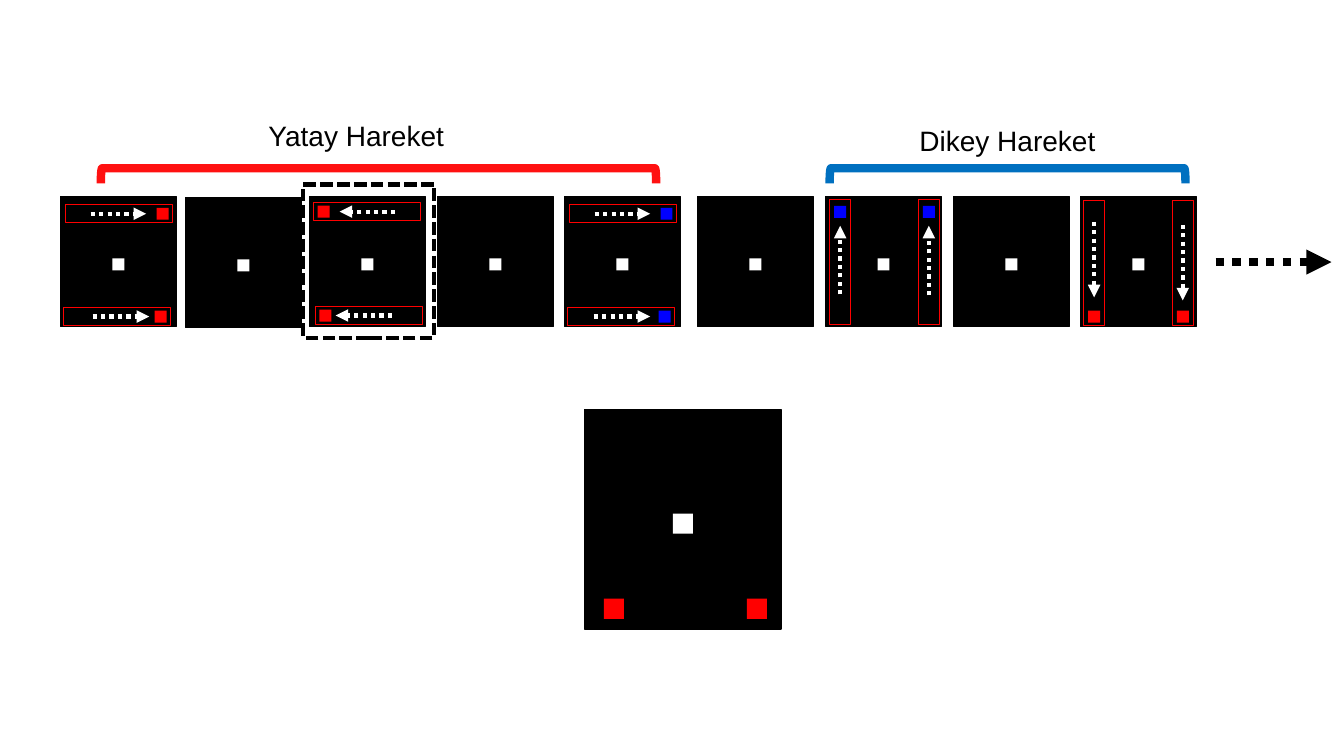
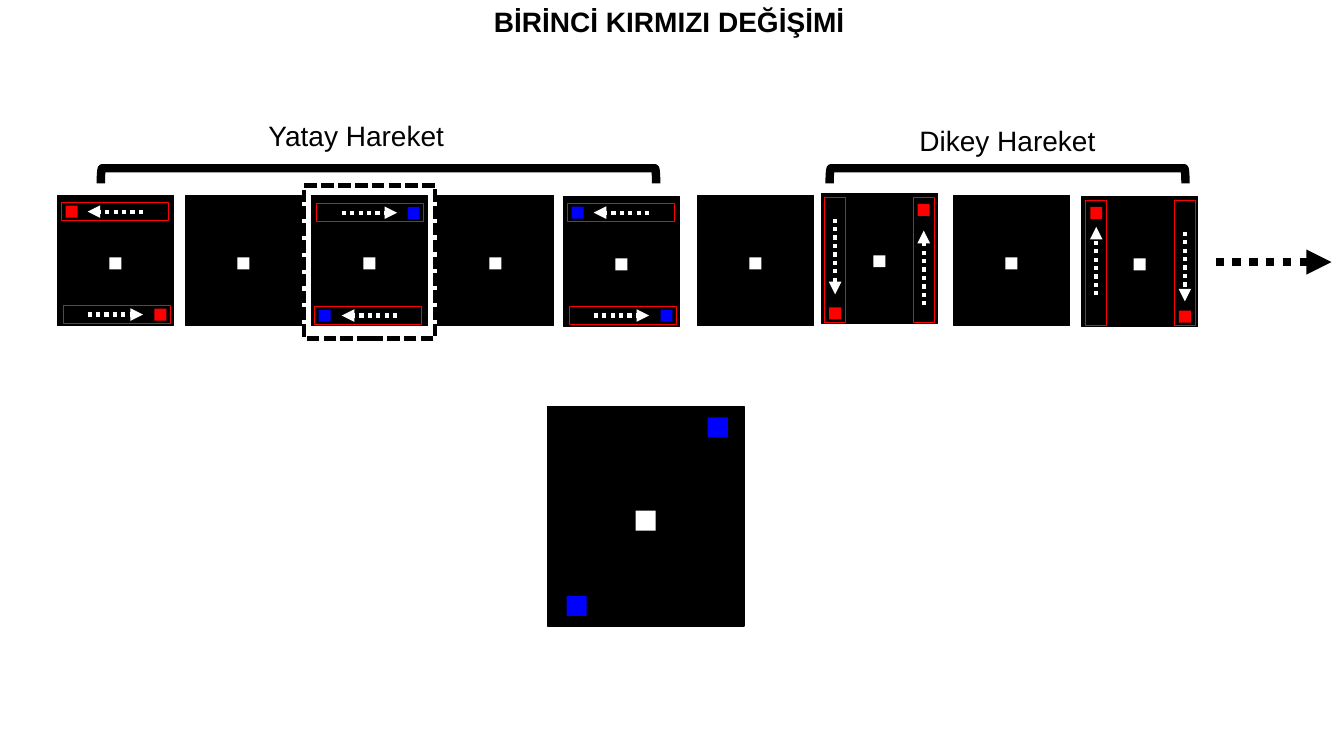
"""Builds two slides that show apparent-motion sequences of red and blue squares."""
from pptx import Presentation
from pptx.dml.color import RGBColor
from pptx.enum.dml import MSO_LINE
from pptx.enum.shapes import MSO_CONNECTOR, MSO_SHAPE
from pptx.enum.text import MSO_ANCHOR, PP_ALIGN
from pptx.oxml.ns import qn
from pptx.util import Pt
from lxml.etree import SubElement

COLORS = {"black": "000000", "white": "FFFFFF", "red": "FF0000", "blue": "0000FF",
          "bracket_red": "FF1111", "bracket_blue": "0070C0"}
FONT, TEXT_SIZE = "Arial", 20
PANEL = (82.8, 92.9)
LARGE_PANEL = (140.4, 157)
SQUARE, LARGE_SQUARE = 8.6, 14.4
DOT_HEIGHT = 0.475
LANES = {"across": (76.3, 13), "upright": (15.1, 89.3)}
SQUARE_STOPS = {"across": (2.9, 65), "upright": (4.5, 78.5)}
FOCUS_SIZE = (93.6, 109.4)
TITLE_FRAME = (313.9, 0, 328.3, 31)
LABELS = [("Yatay Hareket", 166.3, 84.2), ("Dikey Hareket", 631.4, 87.8)]
LABEL_SIZE = (176.4, 25.2)
BRACKETS = [(72, 396.7), (592.6, 254.2)]
BRACKET_TOP, BRACKET_DEPTH = 120.2, 10.8
TIME_ARROW = (868.3, 187.2, 951.1, 187.2)

# Panel: left, top, lanes. Lane: axis, left, top, square colour, arrow start, arrow end.
SLIDES = [
    {
        "title": None,
        "brackets": ("bracket_red", "bracket_blue"),
        "panels": [
            (43.2, 140.4, [("across", 3.6, 5.8, "red", 21.6, 61.2),
                           ("across", 2.2, 79.2, "red", 23, 63.4)]),
            (132.5, 141.1, []),
            (221, 140.4, [("across", 2.9, 4.3, "red", 61.2, 21.6),
                          ("across", 4.3, 78.5, "red", 59, 18.7)]),
            (312.5, 140.4, []),
            (403.2, 140.4, [("across", 3.6, 5.8, "blue", 21.6, 61.2),
                            ("across", 2.2, 79.2, "blue", 20.9, 61.2)]),
            (498.2, 140.4, []),
            (589.7, 140.4, [("upright", 2.9, 2.2, "blue", 69.8, 20.9),
                            ("upright", 66.2, 2.2, "blue", 70.6, 20.9)]),
            (681.1, 140.4, []),
            (771.8, 140.4, [("upright", 2.2, 2.9, "red", 18, 72),
                            ("upright", 65.5, 2.9, "red", 20.2, 74.2)]),
        ],
        "focus": (216.7, 131.8),
        "large": (417.6, 292.3, [(13.7, 135.4, "red"), (115.9, 135.4, "red")]),
    },
    {
        "title": "BİRİNCİ KIRMIZI DEĞİŞİMİ",
        "brackets": ("black", "black"),
        "panels": [
            (41, 139.7, [("across", 2.9, 5, "red", 61.2, 21.6),
                         ("across", 4.3, 78.5, "red", 21.6, 61.2)]),
            (132.5, 139.7, []),
            (222.5, 139.7, [("across", 3.6, 5.8, "blue", 21.6, 61.2),
                            ("across", 2.2, 79.2, "blue", 61.2, 21.6)]),
            (312.5, 139.7, []),
            (402.5, 140.4, [("across", 2.9, 5, "blue", 61.2, 21.6),
                            ("across", 4.3, 78.5, "blue", 21.6, 61.2)]),
            (498.2, 139.7, []),
            (586.8, 138.2, [("upright", 2.2, 2.9, "red", 18, 72),
                            ("upright", 65.5, 2.9, "red", 79.9, 26.6)]),
            (681.1, 139.7, []),
            (772.6, 140.4, [("upright", 2.9, 2.9, "red", 70.6, 21.6),
                            ("upright", 66.2, 2.9, "red", 25.2, 74.9)]),
        ],
        "focus": (217.4, 132.5),
        "large": (391, 290.2, [(114.5, 7.9, "blue"), (13.7, 135.4, "blue")]),
    },
]


def color(name):
    return RGBColor.from_string(COLORS[name])


def add_box(shapes, left, top, width, height, fill=None, line=None, weight=1,
            kind=MSO_SHAPE.RECTANGLE):
    box = shapes.add_shape(kind, Pt(left), Pt(top), Pt(width), Pt(height))
    box.shadow.inherit = False
    if fill:
        box.fill.solid()
        box.fill.fore_color.rgb = color(fill)
    else:
        box.fill.background()
    if line:
        box.line.color.rgb = color(line)
        box.line.width = Pt(weight)
    else:
        box.line.fill.background()
    return box


def add_arrow(shapes, points, line, weight):
    arrow = shapes.add_connector(MSO_CONNECTOR.STRAIGHT, *[Pt(value) for value in points])
    arrow.line.color.rgb = color(line)
    arrow.line.width = Pt(weight)
    arrow.line.dash_style = MSO_LINE.ROUND_DOT
    SubElement(arrow.line._get_or_add_ln(), qn("a:tailEnd"), type="triangle")
    SubElement(arrow._element.spPr, qn("a:effectLst"))


def write(box, text, bold=False):
    frame = box.text_frame
    frame.word_wrap = True
    frame.vertical_anchor = MSO_ANCHOR.MIDDLE
    frame.margin_left = frame.margin_right = frame.margin_top = frame.margin_bottom = 0
    para = frame.paragraphs[0]
    para.alignment = PP_ALIGN.CENTER
    span = para.add_run()
    span.text = text
    span.font.name, span.font.size, span.font.bold = FONT, Pt(TEXT_SIZE), bold
    span.font.color.rgb = color("black")


def add_field(shapes, left, top, size, dot):
    width, height = size
    add_box(shapes, left, top, width, height, "black", "black")
    add_box(shapes, left + (width - dot) / 2, top + height * DOT_HEIGHT, dot, dot, "white")


def add_lane(shapes, left, top, axis, fill, start, end):
    """Draws a lane whose square waits at the end the arrow points to."""
    width, height = LANES[axis]
    stop = SQUARE_STOPS[axis][end > start]
    if axis == "across":
        square = (left + stop, top + (height - SQUARE) / 2)
        points = (start, top + height / 2, end, top + height / 2)
    else:
        square = (left + (width - SQUARE) / 2, top + stop)
        points = (left + width / 2, start, left + width / 2, end)
    add_box(shapes, *square, SQUARE, SQUARE, fill)
    add_box(shapes, left, top, width, height, None, "red", 0.75)
    add_arrow(shapes, points, "white", 3)


def add_panel(page, left, top, lanes):
    shapes = page.shapes.add_group_shape().shapes
    add_field(shapes, left, top, PANEL, SQUARE)
    for axis, lane_left, lane_top, fill, start, end in lanes:
        origin = left if axis == "across" else top
        add_lane(shapes, left + lane_left, top + lane_top, axis, fill,
                 origin + start, origin + end)


def add_large_panel(page, left, top, squares):
    shapes = page.shapes.add_group_shape().shapes
    add_field(shapes, left, top, LARGE_PANEL, LARGE_SQUARE)
    for square_left, square_top, fill in squares:
        add_box(shapes, left + square_left, top + square_top, LARGE_SQUARE, LARGE_SQUARE, fill)


def add_bracket(page, left, length, line):
    bracket = add_box(page.shapes, left + (length - BRACKET_DEPTH) / 2,
                      BRACKET_TOP + (BRACKET_DEPTH - length) / 2, BRACKET_DEPTH, length,
                      None, line, 6, MSO_SHAPE.RIGHT_BRACKET)
    bracket.rotation = 270


def add_title(page, text):
    title = page.shapes.title
    title.left, title.top, title.width, title.height = [Pt(value) for value in TITLE_FRAME]
    write(title, text, True)


def build_slide(deck, content):
    page = deck.slides.add_slide(deck.slide_layouts[5 if content["title"] else 6])
    if content["title"]:
        add_title(page, content["title"])
    for panel in content["panels"]:
        add_panel(page, *panel)
    for (left, length), line in zip(BRACKETS, content["brackets"]):
        add_bracket(page, left, length, line)
    for text, left, top in LABELS:
        write(page.shapes.add_textbox(Pt(left), Pt(top), *map(Pt, LABEL_SIZE)), text)
    focus = add_box(page.shapes, *content["focus"], *FOCUS_SIZE, None, "black", 3)
    focus.line.dash_style = MSO_LINE.SQUARE_DOT
    add_large_panel(page, *content["large"])
    add_arrow(page.shapes, TIME_ARROW, "black", 6)


def main():
    deck = Presentation()
    deck.slide_width, deck.slide_height = Pt(960), Pt(540)
    for content in SLIDES:
        build_slide(deck, content)
    deck.save("out.pptx")


if __name__ == "__main__":
    main()
